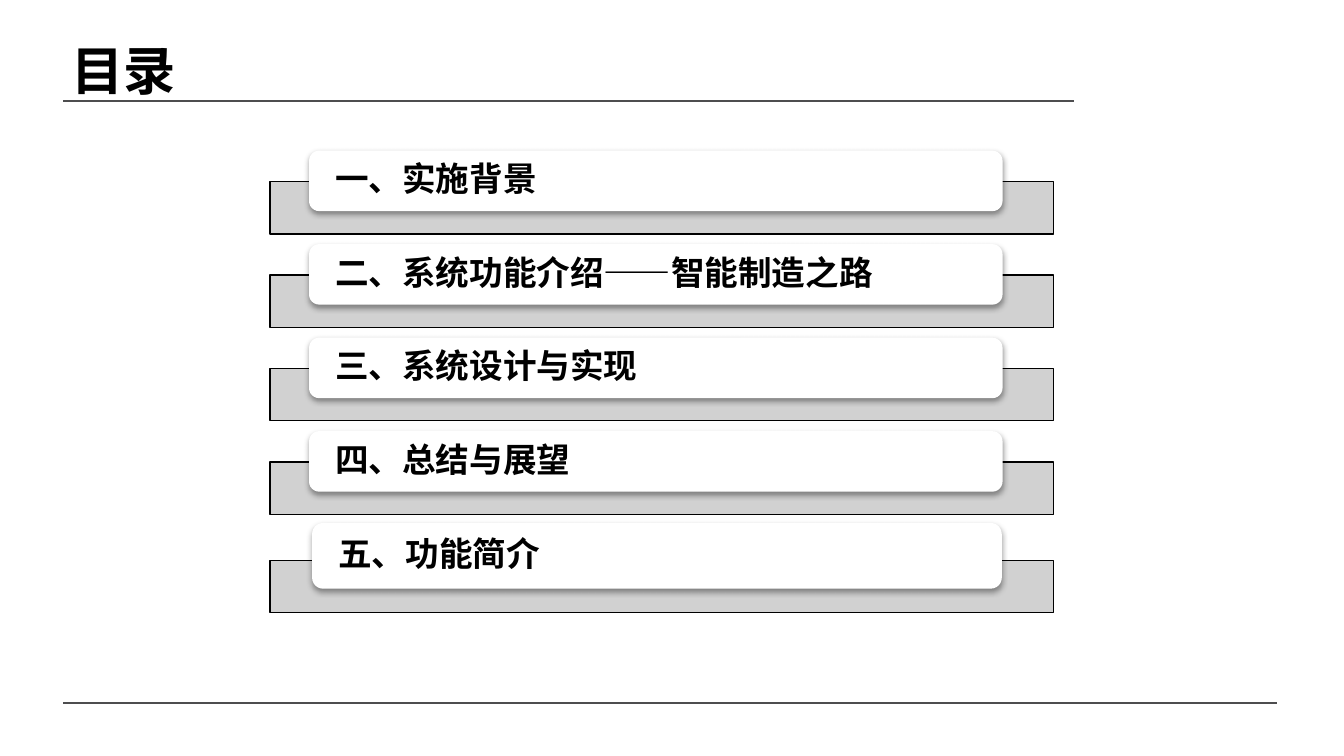
from lxml import etree
from pptx import Presentation
from pptx.dml.color import RGBColor as RGB
from pptx.enum.shapes import MSO_CONNECTOR as Connector, MSO_SHAPE as Shape
from pptx.enum.text import MSO_ANCHOR as Anchor, PP_ALIGN as Align
from pptx.oxml import parse_xml
from pptx.oxml.ns import nsdecls, qn
from pptx.util import Pt

# Content
TITLE = "目录"
SECTIONS = [
    "一、实施背景",
    "二、系统功能介绍——智能制造之路",
    "三、系统设计与实现",
    "四、总结与展望",
    "五、功能简介",
]
RULES = [(33.8, 575.3, 54), (33.8, 684, 376.6)]  # left, right, height on slide

THEME = {
    "font": "Noto Sans CJK SC",
    "text": RGB(0, 0, 0),
    "rule": RGB(0x4D, 0x4D, 0x4F),
    "bar": RGB(0xCC, 0xCC, 0xCC),
    "card": RGB(255, 255, 255),
    "title_size": 28,
    "section_size": 18,
}

# Layout: left, top, width, height
BAR = (144.6, 97.3, 419.8, 28)
CARD = (165.6, 80.7, 371.5, 32.4)
LAST_CARD = (167.2, 280.2, 369.5, 35.2)
STEP = 50.1
LAST_DROP = 2.6  # the last bar sits a little lower

SHADOW = f"""<a:effectLst {nsdecls('a')}>
<a:outerShdw blurRad="{Pt(3.1)}" dist="{Pt(1.6)}" dir="5400000" algn="ctr" rotWithShape="0">
<a:srgbClr val="000000"><a:alpha val="38000"/></a:srgbClr>
</a:outerShdw></a:effectLst>"""


def points(box):
    return [Pt(length) for length in box]


def write(frame, words, size, insets):
    frame.word_wrap = True
    frame.vertical_anchor = Anchor.MIDDLE
    frame.margin_left = frame.margin_right = Pt(insets[0])
    frame.margin_top = frame.margin_bottom = Pt(insets[1])
    line = frame.paragraphs[0]
    line.alignment = Align.LEFT
    run = line.add_run()
    run.text = words
    run.font.size = Pt(size)
    run.font.bold = True
    run.font.name = THEME["font"]
    run.font.color.rgb = THEME["text"]
    east_asian = etree.SubElement(run._r.get_or_add_rPr(), qn("a:ea"))
    east_asian.set("typeface", THEME["font"])
    return line


def add_rule(slide, left, right, y):
    rule = slide.shapes.add_connector(
        Connector.STRAIGHT, *points((left, y, right, y)))
    rule.line.color.rgb = THEME["rule"]
    rule.line.width = Pt(1)
    etree.SubElement(rule._element.spPr, qn("a:effectLst"))


def add_bar(slide, box):
    bar = slide.shapes.add_shape(Shape.RECTANGLE, *points(box))
    bar.shadow.inherit = False
    bar.fill.solid()
    bar.fill.fore_color.rgb = THEME["bar"]
    color = bar._element.spPr.find(qn("a:solidFill"))[0]
    etree.SubElement(color, qn("a:alpha")).set("val", "90000")
    bar.line.color.rgb = THEME["text"]
    bar.line.width = Pt(0.75)


def add_card(slide, box, section):
    card = slide.shapes.add_shape(Shape.ROUNDED_RECTANGLE, *points(box))
    card.fill.solid()
    card.fill.fore_color.rgb = THEME["card"]
    card.line.fill.background()
    card._element.spPr.append(parse_xml(SHADOW))
    line = write(card.text_frame, section, THEME["section_size"], (12.4, 0))
    line.line_spacing = 0.9


def main():
    deck = Presentation()
    deck.slide_width, deck.slide_height = Pt(720), Pt(405)
    slide = deck.slides.add_slide(deck.slide_layouts[6])

    # Rules
    for rule in RULES:
        add_rule(slide, *rule)

    # Section bars with their cards
    for index, section in enumerate(SECTIONS):
        is_last = index == len(SECTIONS) - 1
        drop = index * STEP
        left, top, width, height = BAR
        add_bar(slide, (left, top + drop + is_last * LAST_DROP, width, height))
        left, top, width, height = CARD
        add_card(slide, LAST_CARD if is_last
                 else (left, top + drop, width, height), section)

    # Title
    title = slide.shapes.add_textbox(*points((31, 19.4, 388.8, 35.3)))
    write(title.text_frame, TITLE, THEME["title_size"], (7.2, 3.6))

    deck.save("out.pptx")


if __name__ == "__main__":
    main()
